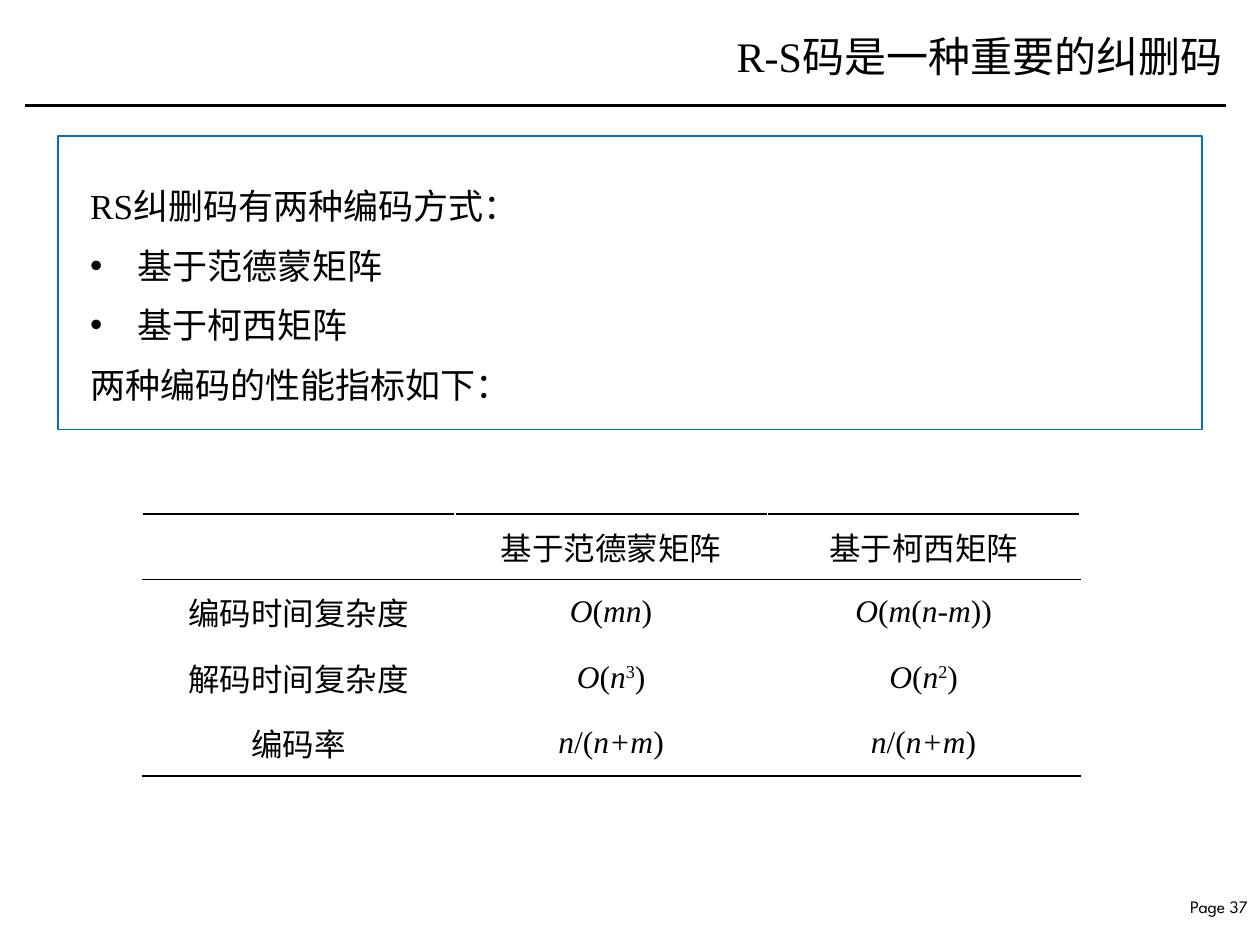
from lxml.etree import SubElement
from pptx import Presentation
from pptx.dml.color import RGBColor
from pptx.enum.shapes import MSO_CONNECTOR, MSO_SHAPE
from pptx.enum.text import MSO_ANCHOR, PP_ALIGN
from pptx.oxml.ns import qn
from pptx.util import Cm, Pt

TITLE = "R-S码是一种重要的纠删码"
PAGE = "Page 37"
# (text, has bullet)
NOTES = [
    ("RS纠删码有两种编码方式：", False),
    ("基于范德蒙矩阵", True),
    ("基于柯西矩阵", True),
    ("两种编码的性能指标如下：", False),
]
# A cell is a list of (text, style) runs: "" plain, "i" italic, "s" superscript
RATE = [("n", "i"), ("/(", ""), ("n+m", "i"), (")", "")]


def order(*inner):
    return [("O", "i"), ("(", ""), *inner, (")", "")]


ROWS = [
    [[], [("基于范德蒙矩阵", "")], [("基于柯西矩阵", "")]],
    [[("编码时间复杂度", "")], order(("mn", "i")),
     order(("m", "i"), ("(", ""), ("n-m", "i"), (")", ""))],
    [[("解码时间复杂度", "")], order(("n", "i"), ("3", "s")),
     order(("n", "i"), ("2", "s"))],
    [[("编码率", "")], RATE, RATE],
]
THEME = {
    "ink": "000000", "paper": "FFFFFF", "frame": "0070C0",
    "serif": "Times New Roman", "sans": "League Spartan",
    "title": 24, "body": 20, "cell": 18, "page": 10,
}
HAIR, THIN, THICK = 0.5, 1, 1.5


def tint(name):
    return RGBColor.from_string(THEME[name])


def add_run(para, text, size, face="serif", style=""):
    run = para.add_run()
    run.text = text
    font = run.font
    font.name, font.size, font.bold = THEME[face], Pt(THEME[size]), False
    font.color.rgb = tint("ink")
    font.italic = style == "i"
    if style == "s":
        run._r.get_or_add_rPr().set("baseline", "30000")


def add_bullet(para):
    props = para._p.get_or_add_pPr()
    props.set("marL", str(Cm(0.95)))
    props.set("indent", str(-Cm(0.95)))
    SubElement(props, qn("a:buFont"), typeface="Arial")
    SubElement(props, qn("a:buChar"), char="•")


def add_edge(cell, side, name, width):
    edge = SubElement(cell._tc.get_or_add_tcPr(), qn("a:ln" + side),
                      w=str(Pt(width)))
    fill = SubElement(edge, qn("a:solidFill"))
    SubElement(fill, qn("a:srgbClr"), val=THEME[name])


def add_title(slide):
    title = slide.shapes.title
    title.left, title.top = Cm(12.34), Cm(0.18)
    title.width, title.height = Cm(12.55), Cm(1.9)
    title.text_frame.vertical_anchor = MSO_ANCHOR.MIDDLE
    para = title.text_frame.paragraphs[0]
    para.alignment = PP_ALIGN.RIGHT
    add_run(para, TITLE, "title")
    rule = slide.shapes.add_connector(
        MSO_CONNECTOR.STRAIGHT, Cm(0.5), Cm(2.13), Cm(24.71), Cm(2.13))
    rule.line.color.rgb, rule.line.width = tint("ink"), Pt(2)
    SubElement(rule._element.spPr, qn("a:effectLst"))


def add_page(slide):
    box = slide.shapes.add_textbox(Cm(23.37), Cm(17.93), Cm(2.03), Cm(0.66))
    box.text_frame.word_wrap = False
    para = box.text_frame.paragraphs[0]
    para.alignment = PP_ALIGN.RIGHT
    add_run(para, PAGE, "page", "sans")


def add_notes(slide):
    box = slide.shapes.add_textbox(Cm(1.57), Cm(3.25), Cm(22.28), Cm(4.95))
    frame = box.text_frame
    frame.word_wrap = True
    for i, (text, dot) in enumerate(NOTES):
        para = frame.add_paragraph() if i else frame.paragraphs[0]
        para.alignment, para.line_spacing = PP_ALIGN.JUSTIFY, Pt(34)
        if dot:
            add_bullet(para)
        add_run(para, text, "body")
    border = slide.shapes.add_shape(
        MSO_SHAPE.RECTANGLE, Cm(1.17), Cm(2.74), Cm(23.06), Cm(5.92))
    border.shadow.inherit = False
    border.fill.background()
    border.line.color.rgb, border.line.width = tint("frame"), Pt(0.75)


def add_grid(slide):
    count = len(ROWS)
    table = slide.shapes.add_table(
        count, len(ROWS[0]), Cm(2.87), Cm(10.36), Cm(18.9), Cm(5.28)).table
    table.first_row = table.horz_banding = False
    # One rule per row boundary, from the top of the table to its foot
    rules = ([("ink", THIN), ("ink", HAIR)]
             + [("paper", THIN)] * (count - 2) + [("ink", THICK)])
    for r, row in enumerate(ROWS):
        for c, runs in enumerate(row):
            cell = table.cell(r, c)
            for side in "LR":
                add_edge(cell, side, "paper", THIN)
            add_edge(cell, "T", *rules[r])
            add_edge(cell, "B", *rules[r + 1])
            cell.fill.background()
            cell.vertical_anchor = MSO_ANCHOR.MIDDLE
            para = cell.text_frame.paragraphs[0]
            para.alignment = PP_ALIGN.CENTER
            for text, style in runs:
                add_run(para, text, "cell", style=style)


def main():
    deck = Presentation()
    deck.slide_width, deck.slide_height = Cm(25.4), Cm(19.05)
    slide = deck.slides.add_slide(deck.slide_layouts[5])
    for add in (add_page, add_title, add_notes, add_grid):
        add(slide)
    deck.save("out.pptx")


if __name__ == "__main__":
    main()
